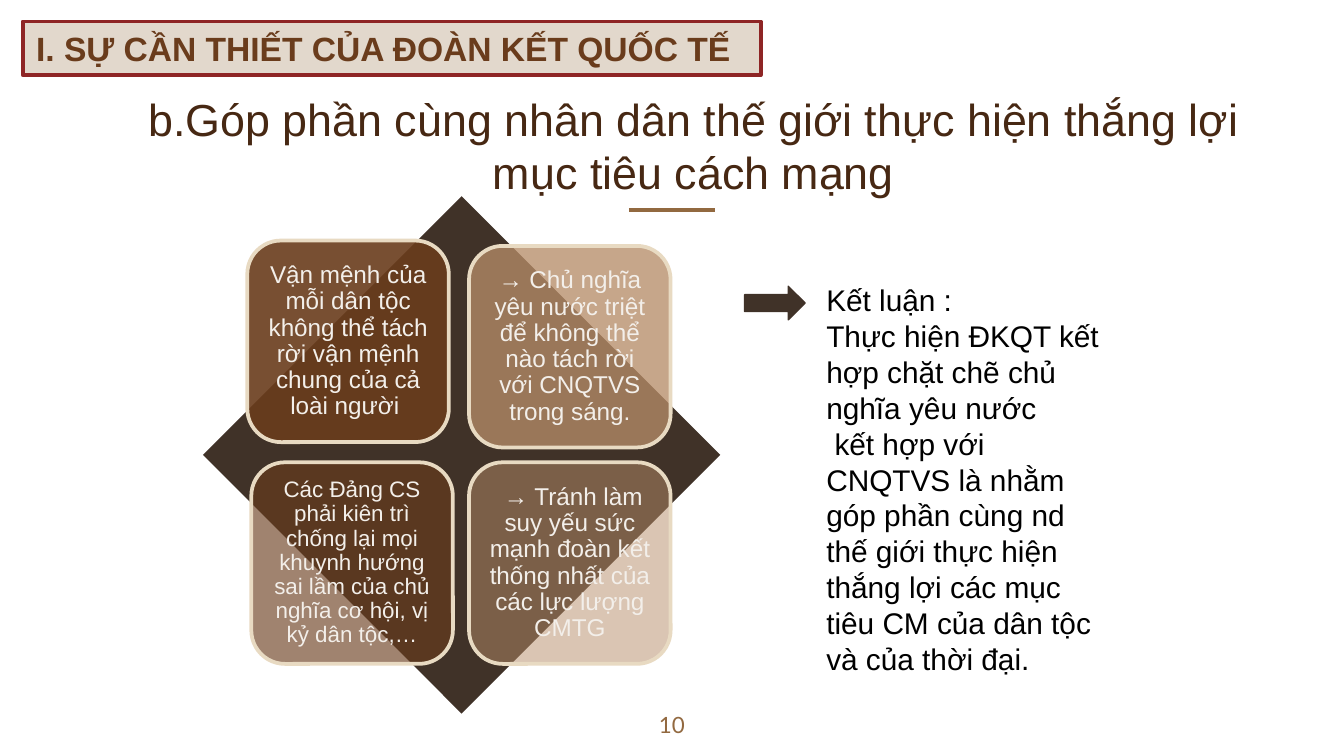
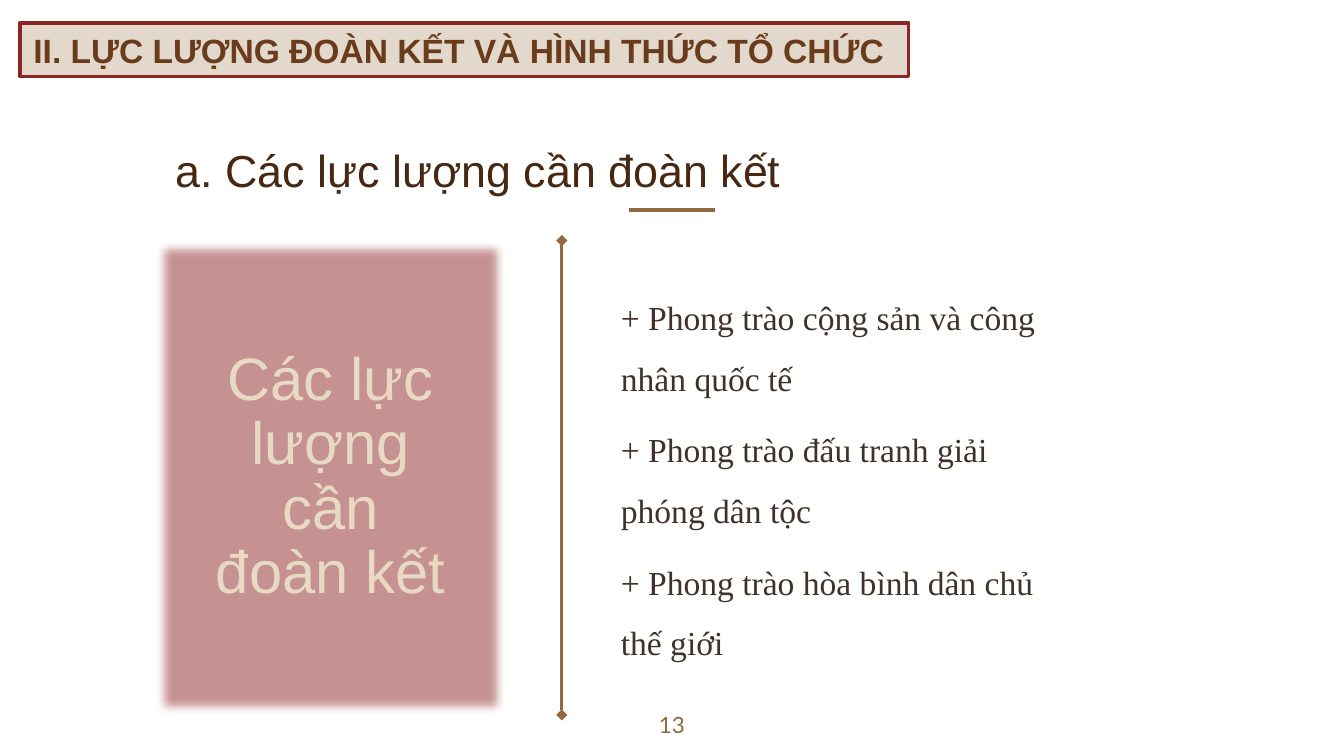
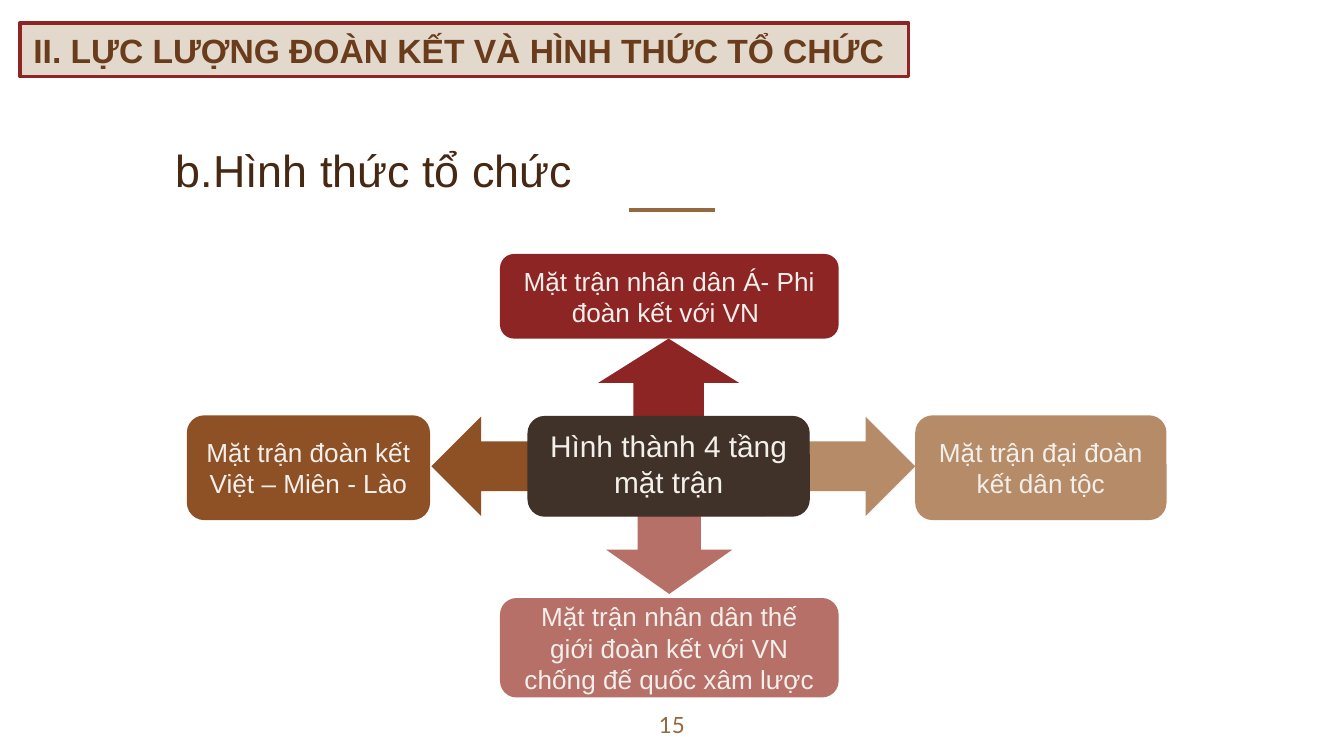
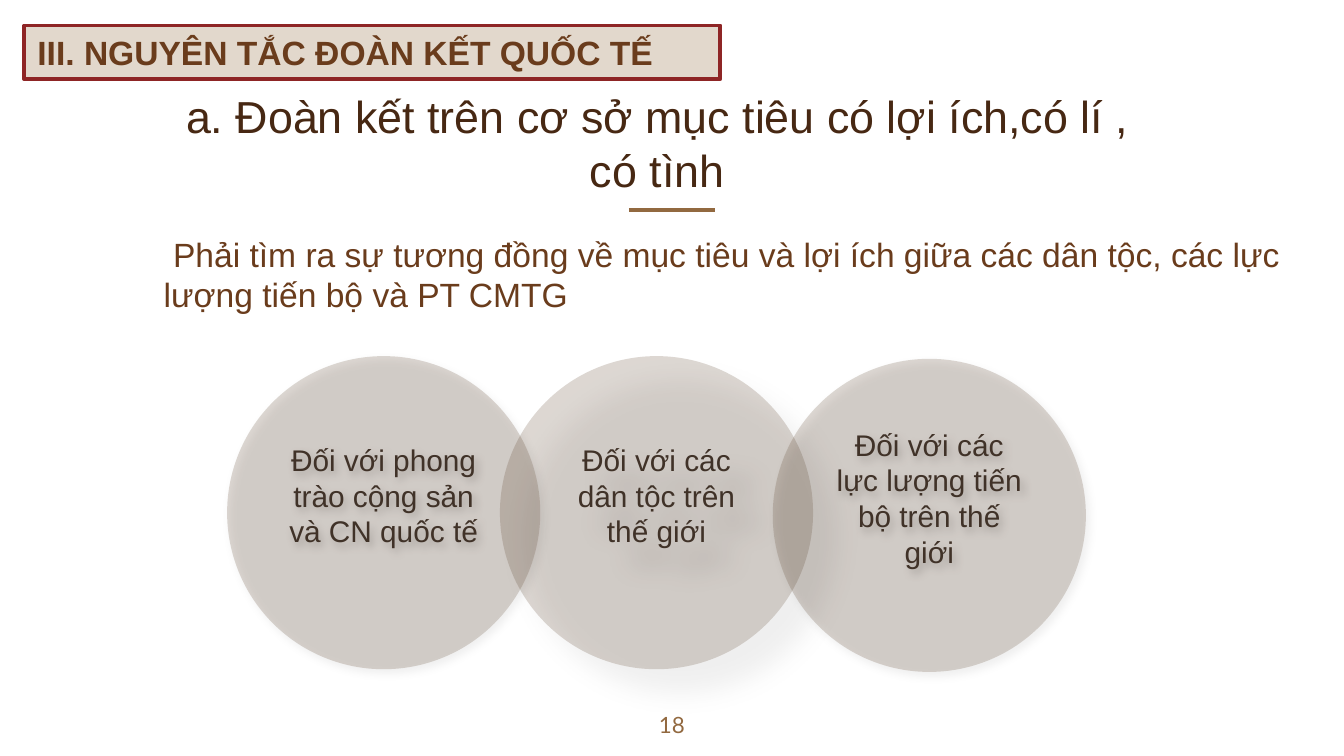
from dataclasses import dataclass

from lxml.etree import SubElement
from pptx import Presentation
from pptx.dml.color import RGBColor as Color
from pptx.enum.shapes import MSO_CONNECTOR as Connector, MSO_SHAPE as Kind
from pptx.enum.text import MSO_ANCHOR as Anchor, PP_ALIGN as Align
from pptx.oxml.ns import qn
from pptx.util import Inches, Pt


@dataclass(frozen=True)
class Theme:
    title: str = "472813"
    accent: str = "926940"
    dark: str = "403228"
    brown: str = "6A3C1C"
    rust: str = "8E5025"
    tan: str = "B68C68"
    red: str = "8E2525"
    rose: str = "B67068"
    cream: str = "E8DAC2"
    band: str = "E2D8CC"
    light: str = "F3EFEA"
    umber: str = "60462F"
    black: str = "000000"
    sans: str = "Arial"
    serif: str = "Times New Roman"
    footer: str = "Lato"
    title_size: int = 24
    band_size: int = 18
    body_size: int = 16
    label_size: int = 14
    card_size: int = 13
    small_size: int = 12
    feature_size: int = 32


theme = Theme()


def add_box(page, at, text="", kind=None, fill=None, alpha=100, line=None, width=2,
            size=theme.body_size, color=theme.black, font=theme.sans, bold=False,
            align=Align.LEFT, anchor=Anchor.TOP, inset=(0.1, 0.05, 0.1, 0.05),
            spacing=1.0, before=0):
    place = [Inches(value) for value in at]
    if kind is None:
        box = page.shapes.add_textbox(*place)
    else:
        box = page.shapes.add_shape(kind, *place)
        box.shadow.inherit = False
        box.fill.solid()
        box.fill.fore_color.rgb = Color.from_string(fill)
        if alpha < 100:
            tint = box._element.spPr.find(".//" + qn("a:srgbClr"))
            SubElement(tint, qn("a:alpha"), val=str(alpha * 1000))
        if line:
            box.line.color.rgb = Color.from_string(line)
            box.line.width = Pt(width)
        else:
            box.line.fill.background()
    frame = box.text_frame
    frame.word_wrap = True
    frame.vertical_anchor = anchor
    frame.margin_left, frame.margin_top, frame.margin_right, frame.margin_bottom = [
        Inches(value) for value in inset]
    for index, words in enumerate(text.split("\n") if text else []):
        para = frame.add_paragraph() if index else frame.paragraphs[0]
        para.alignment = align
        para.line_spacing = spacing
        para.space_before = Pt(before)
        span = para.add_run()
        span.text = words
        span.font.name = font
        span.font.size = Pt(size)
        span.font.bold = bold
        span.font.color.rgb = Color.from_string(color)
    return box


def add_rule(page, start, end, width, ends=None):
    rule = page.shapes.add_connector(
        Connector.STRAIGHT, *[Inches(value) for value in (*start, *end)])
    rule.line.color.rgb = Color.from_string(theme.accent)
    rule.line.width = Pt(width)
    if ends:
        outline = rule.line._get_or_add_ln()
        for tag in ("a:headEnd", "a:tailEnd"):
            SubElement(outline, qn(tag), type=ends)
    SubElement(rule._element.spPr, qn("a:effectLst"))


deck = Presentation()
deck.slide_width = Inches(10)
deck.slide_height = Inches(10 * 9 / 16)

forces_heading = "II. LỰC LƯỢNG ĐOÀN KẾT VÀ HÌNH THỨC TỔ CHỨC"
forces_band = (0.15, 0.17, 6.61, 0.4)
title_area = (1.21, 0.62, 7.36, 0.94)
outlines = [
    ("10", "I. SỰ CẦN THIẾT CỦA ĐOÀN KẾT QUỐC TẾ", (0.17, 0.16, 5.49, 0.4),
     "b.Góp phần cùng nhân dân thế giới thực hiện thắng lợi mục tiêu cách mạng",
     (0.81, 0.77, 8.7, 0.81), Align.CENTER),
    ("13", forces_heading, forces_band, "a. Các lực lượng cần đoàn kết",
     title_area, Align.LEFT),
    ("15", forces_heading, forces_band, "b.Hình thức tổ chức", title_area, Align.LEFT),
    ("18", "III. NGUYÊN TẮC ĐOÀN KẾT QUỐC TẾ", (0.18, 0.19, 5.18, 0.4),
     "a. Đoàn kết trên cơ sở mục tiêu có lợi ích,có lí , có tình",
     title_area, Align.CENTER),
]
pages = []
even_inset = (0.1, 0.1, 0.1, 0.1)
for number, heading, band_area, title, area, align in outlines:
    page = deck.slides.add_slide(deck.slide_layouts[6])
    add_rule(page, (4.68, 1.56), (5.32, 1.56), 2.25)
    add_box(page, area, title, size=theme.title_size, color=theme.title,
            align=align, anchor=Anchor.BOTTOM, inset=even_inset)
    add_box(page, (4.7, 5.19, 0.6, 0.43), number, size=theme.small_size,
            color=theme.accent, font=theme.footer, align=Align.CENTER, inset=even_inset)
    add_box(page, band_area, heading, kind=Kind.RECTANGLE, fill=theme.band,
            line=theme.red, size=theme.band_size, color=theme.brown, bold=True)
    pages.append(page)
reasons_page, forces_page, fronts_page, principles_page = pages

add_box(reasons_page, (1.51, 1.46, 3.85, 3.85), kind=Kind.DIAMOND, fill=theme.dark)
reasons = [
    (1.84, 1.79, theme.brown, 90, theme.card_size,
     "Vận mệnh của mỗi dân tộc không thể tách rời vận mệnh chung của cả loài người "),
    (3.49, 1.83, theme.tan, 77, theme.card_size,
     "→ Chủ nghĩa yêu nước triệt để không thể nào tách rời với CNQTVS trong sáng."),
    (1.87, 3.44, theme.brown, 63, theme.small_size,
     "Các Đảng CS phải kiên trì chống lại mọi khuynh hướng sai lầm của chủ nghĩa "
     "cơ hội, vị kỷ dân tộc,…"),
    (3.49, 3.44, theme.tan, 50, theme.card_size,
     " → Tránh làm suy yếu sức mạnh đoàn kết thống nhất của các lực lượng CMTG"),
]
for left, top, fill, alpha, size, text in reasons:
    add_box(reasons_page, (left, top, 1.5, 1.5), text, kind=Kind.ROUNDED_RECTANGLE,
            fill=fill, alpha=alpha, line=theme.cream, size=size, color=theme.light,
            align=Align.CENTER, anchor=Anchor.MIDDLE, inset=(0.06,) * 4, spacing=0.9)
add_box(reasons_page, (5.54, 2.13, 0.45, 0.25), kind=Kind.RIGHT_ARROW,
        fill=theme.dark, line=theme.dark, width=0.75)
add_box(reasons_page, (6.05, 2.05, 2.3, 3.06),
        "Kết luận :\n"
        "Thực hiện ĐKQT kết hợp chặt chẽ chủ nghĩa yêu nước\n"
        " kết hợp với CNQTVS là nhằm góp phần cùng nd thế giới thực hiện thắng lợi "
        "các mục tiêu CM của dân tộc và của thời đại.")

panel = add_box(forces_page, (1.16, 1.79, 2.6, 3.53), "Các lực lượng cần đoàn kết",
                kind=Kind.FLOWCHART_PREDEFINED_PROCESS, fill=theme.red, alpha=50,
                size=theme.feature_size, color=theme.cream, align=Align.CENTER,
                anchor=Anchor.MIDDLE, spacing=0.9)
panel_effects = panel._element.spPr.find(qn("a:effectLst"))
SubElement(panel_effects, qn("a:softEdge"), rad=str(Pt(5)))
add_box(forces_page, (4.4, 1.61, 3.63, 3.77),
        "+ Phong trào cộng sản và công nhân quốc tế\n"
        "+ Phong trào đấu tranh giải phóng dân tộc\n"
        "+ Phong trào hòa bình dân chủ thế giới",
        size=theme.band_size, color=theme.dark, font=theme.serif,
        anchor=Anchor.MIDDLE, inset=(0.22, 0.05, 0.1, 0.05), spacing=1.5, before=6)
add_rule(forces_page, (4.18, 5.32), (4.18, 1.79), 1.5, ends="diamond")

fronts = [
    (Kind.DOWN_ARROW, (4.51, 3.76, 0.94, 0.66), theme.rose, (3.72, 4.45, 2.52, 0.74),
     "Mặt trận nhân dân thế giới đoàn kết với VN chống đế quốc xâm lược"),
    (Kind.UP_ARROW, (4.45, 2.52, 1.05, 0.66), theme.red, (3.72, 1.89, 2.52, 0.63),
     "Mặt trận nhân dân Á- Phi đoàn kết với VN "),
    (Kind.RIGHT_ARROW, (5.97, 3.1, 0.84, 0.74), theme.tan, (6.81, 3.09, 1.87, 0.78),
     "Mặt trận đại đoàn kết dân tộc"),
    (Kind.LEFT_ARROW, (3.21, 3.1, 0.77, 0.74), theme.rust, (1.39, 3.09, 1.81, 0.78),
     "Mặt trận đoàn kết \nViệt – Miên - Lào"),
]
for arrow, arrow_area, fill, area, text in fronts:
    add_box(fronts_page, arrow_area, kind=arrow, fill=fill)
    add_box(fronts_page, area, text, kind=Kind.ROUNDED_RECTANGLE, fill=fill,
            size=theme.label_size, color=theme.light, align=Align.CENTER,
            anchor=Anchor.MIDDLE)
add_box(fronts_page, (3.93, 3.1, 2.09, 0.74), "Hình thành 4 tầng mặt trận",
        kind=Kind.ROUNDED_RECTANGLE, fill=theme.dark, line=theme.dark, width=0.75,
        color=theme.light, align=Align.CENTER)

add_box(principles_page, (1.12, 1.69, 8.53, 0.71),
        " Phải tìm ra sự tương đồng về mục tiêu và lợi ích giữa các dân tộc, "
        "các lực lượng tiến bộ và PT CMTG",
        size=theme.band_size, color=theme.brown)
partners = [
    (3.72, 2.65, 15, 18, 45, "Đối với các dân tộc trên thế giới"),
    (1.69, 2.65, 4.5, 2.6, 53, "Đối với phong trào cộng sản và CN quốc tế"),
    (5.75, 2.67, 4.5, 2.6, 53, "Đối với các lực lượng tiến bộ trên thế giới"),
]
for left, top, blur, distance, angle, text in partners:
    circle = add_box(principles_page, (left, top, 2.33, 2.33), text, kind=Kind.OVAL,
                     fill=theme.umber, alpha=21, color=theme.dark, align=Align.CENTER,
                     anchor=Anchor.MIDDLE, inset=(0.1, 0.1, 0.1, 0.36))
    effects = circle._element.spPr.find(qn("a:effectLst"))
    shadow = SubElement(effects, qn("a:outerShdw"), blurRad=str(Pt(blur)),
                        dist=str(Pt(distance)), dir=str(angle * 60000),
                        algn="tl", rotWithShape="0")
    shade = SubElement(shadow, qn("a:srgbClr"), val=theme.black)
    SubElement(shade, qn("a:alpha"), val="30000")

deck.save("out.pptx")
